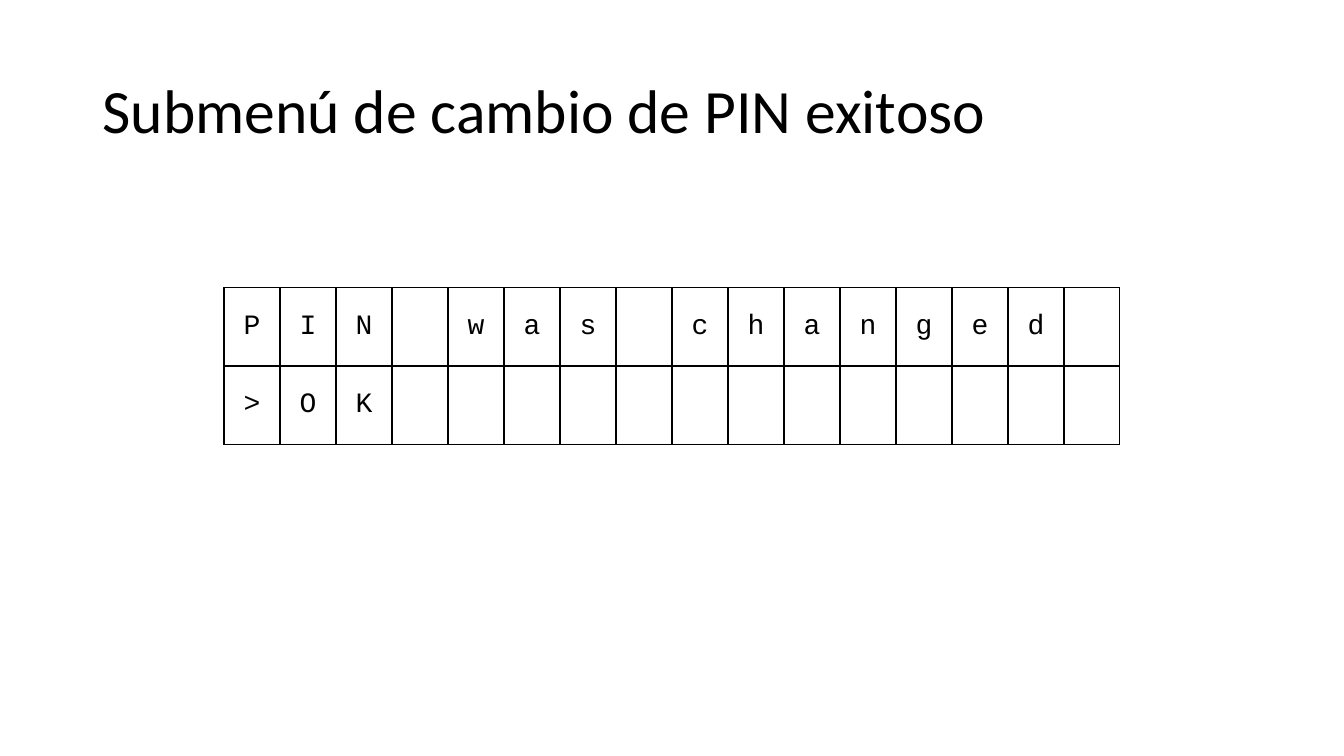
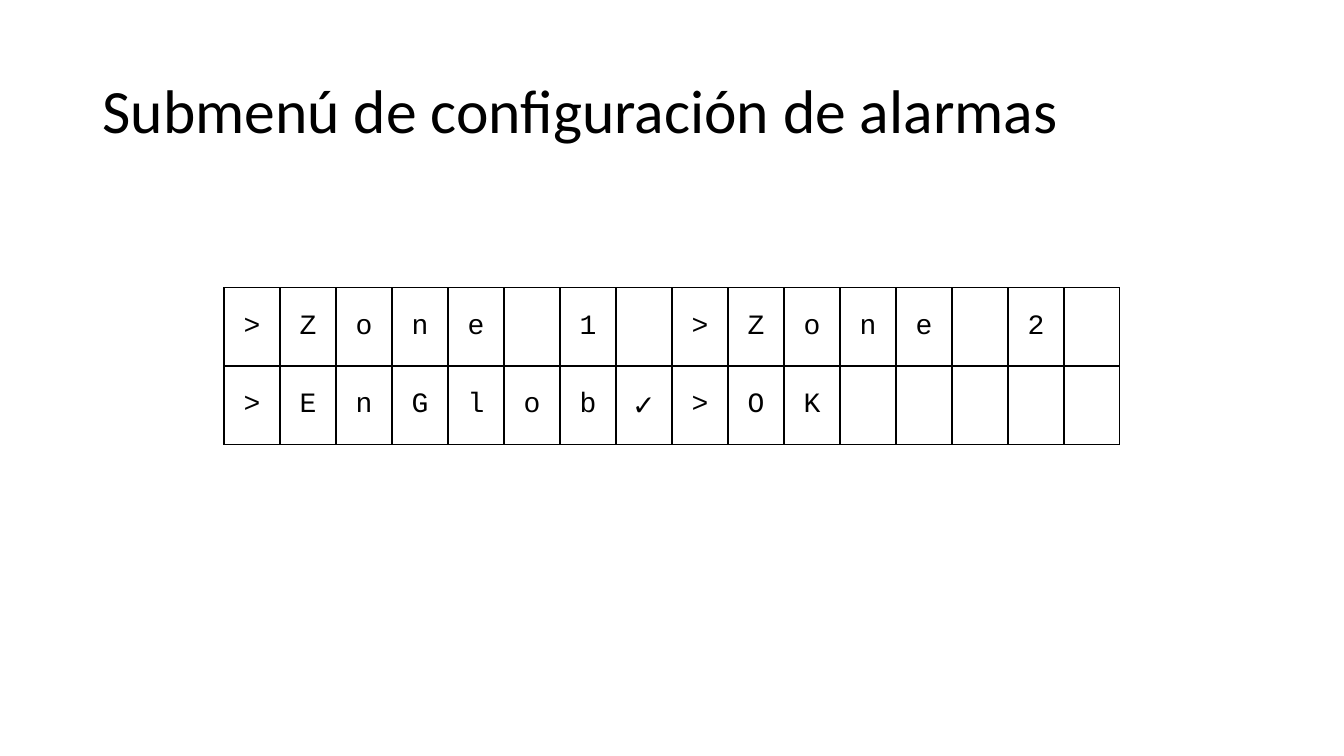
from dataclasses import dataclass

from lxml.etree import SubElement
from pptx import Presentation
from pptx.dml.color import RGBColor
from pptx.enum.text import MSO_ANCHOR, MSO_AUTO_SIZE, PP_ALIGN
from pptx.oxml.ns import qn
from pptx.presentation import Presentation as PresentationType
from pptx.slide import Slide
from pptx.table import _Cell
from pptx.text.text import TextFrame
from pptx.util import Emu, Pt

EMU_PER_PX = 6350
SLIDE_WIDTH, SLIDE_HEIGHT = 1920, 1080
TITLE_LEFT, TITLE_TOP, TITLE_WIDTH, TITLE_HEIGHT = 132, 58, 1656, 209
DISPLAY_COLUMNS = 16
DISPLAY_TOP = 411
CELL_WIDTH, CELL_HEIGHT = 80, 112
TITLE_ONLY_LAYOUT = 5
BLACK, WHITE = "000000", "FFFFFF"
TITLE_FONT, DISPLAY_FONT, SYMBOL_FONT = "Calibri", "Courier New", "Arial"
CHECK_MARK = "✓"


@dataclass(frozen=True)
class DisplayScreen:
    title: str
    lines: tuple[str, ...]


SCREENS = (
    DisplayScreen("Submenú de cambio de PIN exitoso", ("PIN was changed", ">OK")),
    DisplayScreen("Submenú de configuración de alarmas", (">Zone 1 >Zone 2", ">EnGlob✓>OK")),
)


def px(length: int) -> Emu:
    return Emu(length * EMU_PER_PX)


def color(value: str) -> RGBColor:
    return RGBColor.from_string(value)


def write_text(
    frame: TextFrame,
    text: str,
    *,
    font: str,
    size: int,
    align: PP_ALIGN,
    line_spacing: float = 1.0,
) -> None:
    frame.text = text
    frame.vertical_anchor = MSO_ANCHOR.MIDDLE
    paragraph = frame.paragraphs[0]
    paragraph.alignment = align
    paragraph.line_spacing = line_spacing
    paragraph.font.name = font
    paragraph.font.size = Pt(size)
    paragraph.font.color.rgb = color(BLACK)
    for run in paragraph.runs:
        run.font.name = font
        run.font.size = Pt(size)
        run.font.color.rgb = color(BLACK)


def add_borders(cell: _Cell) -> None:
    properties = cell._tc.get_or_add_tcPr()
    for side in ("a:lnL", "a:lnR", "a:lnT", "a:lnB"):
        line = SubElement(properties, qn(side), w=str(Pt(1)))
        fill = SubElement(line, qn("a:solidFill"))
        SubElement(fill, qn("a:srgbClr"), val=BLACK)


def add_title(slide: Slide, text: str) -> None:
    title = slide.shapes.title
    title.left, title.top = px(TITLE_LEFT), px(TITLE_TOP)
    title.width, title.height = px(TITLE_WIDTH), px(TITLE_HEIGHT)
    title.text_frame.auto_size = MSO_AUTO_SIZE.NONE
    write_text(
        title.text_frame, text, font=TITLE_FONT, size=44, align=PP_ALIGN.LEFT, line_spacing=0.9
    )


def fill_cell(cell: _Cell, character: str) -> None:
    add_borders(cell)
    cell.fill.solid()
    cell.fill.fore_color.rgb = color(WHITE)
    cell.vertical_anchor = MSO_ANCHOR.MIDDLE
    font = SYMBOL_FONT if character == CHECK_MARK else DISPLAY_FONT
    write_text(cell.text_frame, character.strip(), font=font, size=20, align=PP_ALIGN.CENTER)


def add_display(slide: Slide, lines: tuple[str, ...]) -> None:
    """Draw a character display, one table cell per character, centred across the slide."""
    width = DISPLAY_COLUMNS * CELL_WIDTH
    table = slide.shapes.add_table(
        len(lines),
        DISPLAY_COLUMNS,
        px((SLIDE_WIDTH - width) // 2),
        px(DISPLAY_TOP),
        px(width),
        px(len(lines) * CELL_HEIGHT),
    ).table
    table.first_row = table.horz_banding = False
    for column in table.columns:
        column.width = px(CELL_WIDTH)
    for row, line in zip(table.rows, lines):
        row.height = px(CELL_HEIGHT)
        for cell, character in zip(row.cells, line.ljust(DISPLAY_COLUMNS)):
            fill_cell(cell, character)


def add_screen(presentation: PresentationType, screen: DisplayScreen) -> None:
    slide = presentation.slides.add_slide(presentation.slide_layouts[TITLE_ONLY_LAYOUT])
    add_title(slide, screen.title)
    add_display(slide, screen.lines)


def main() -> None:
    presentation = Presentation()
    presentation.slide_width, presentation.slide_height = px(SLIDE_WIDTH), px(SLIDE_HEIGHT)
    for screen in SCREENS:
        add_screen(presentation, screen)
    presentation.save("out.pptx")


if __name__ == "__main__":
    main()
